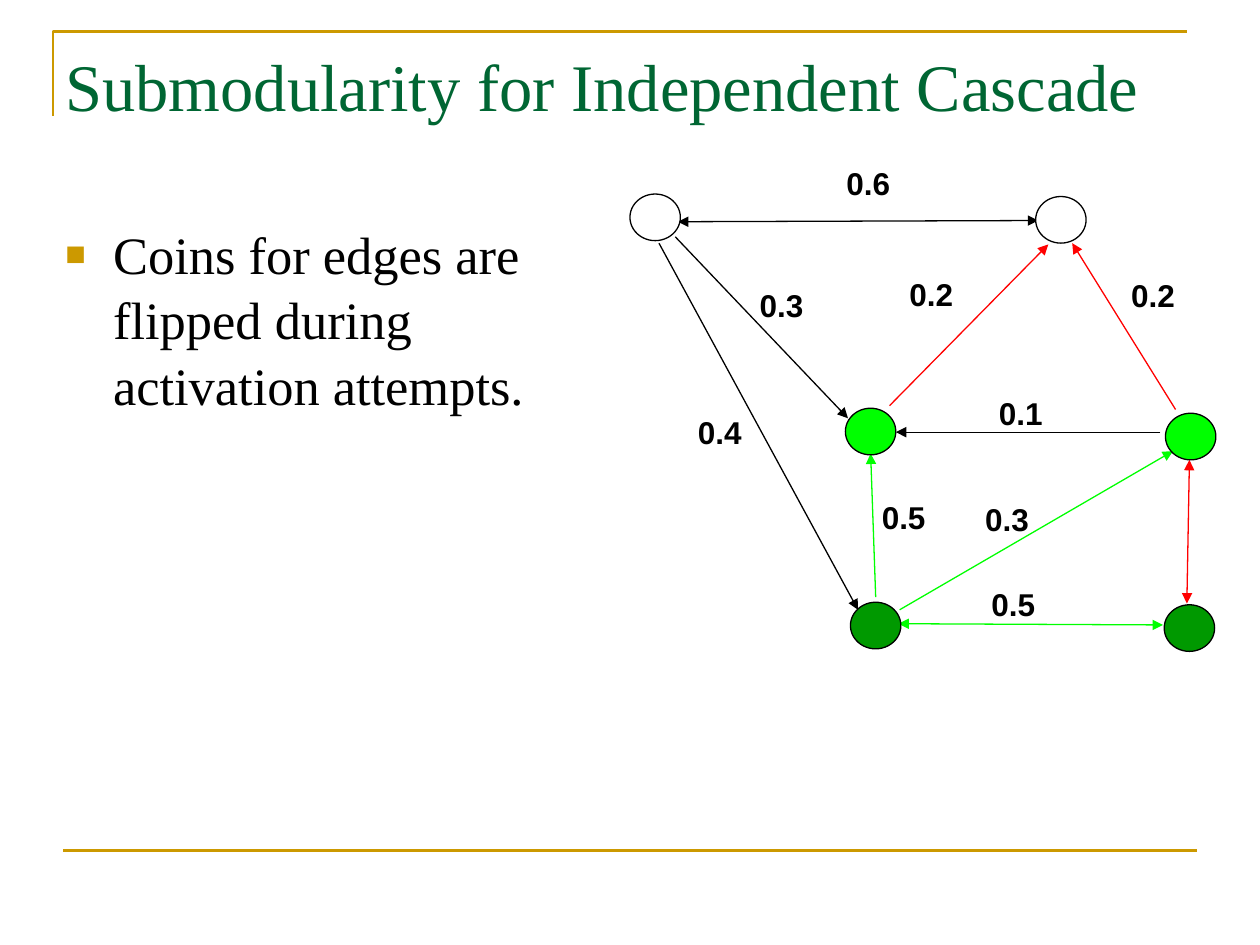
from lxml import etree
from pptx import Presentation
from pptx.dml.color import RGBColor
from pptx.enum.shapes import MSO_CONNECTOR, MSO_SHAPE
from pptx.oxml.ns import qn
from pptx.util import Pt

PX = 9144
LINE = MSO_CONNECTOR.STRAIGHT
OVAL = MSO_SHAPE.OVAL
GOLD = RGBColor(0xCC, 0x99, 0x00)
PINE = RGBColor(0x00, 0x66, 0x33)
BLACK = RGBColor(0x00, 0x00, 0x00)
WHITE = RGBColor(0xFF, 0xFF, 0xFF)
RED = RGBColor(0xFF, 0x00, 0x00)
LIME = RGBColor(0x00, 0xFF, 0x00)
GREEN = RGBColor(0x00, 0x99, 0x00)

TITLE_FONT = {"name": "Times New Roman", "size": Pt(38)}
BODY_FONT = {"name": "Times New Roman", "size": Pt(30)}
LABEL_FONT = {"name": "Arial", "size": Pt(18), "bold": True}

NODES = [
    (175, 353, GREEN), (424, 355, GREEN), (0, 29, WHITE),
    (322, 31, WHITE), (171, 199, LIME), (425, 203, LIME),
]
EDGES = [
    (213, 370, 423, 371, LIME, True),
    (214, 359, 431, 233, LIME, False),
    (195, 349, 191, 235, LIME, False),
    (421, 218, 211, 218, BLACK, False),
    (23, 68, 181, 359, BLACK, False),
    (36, 63, 173, 207, BLACK, False),
    (206, 197, 332, 69, RED, False),
    (38, 51, 324, 50, BLACK, True),
    (433, 200, 351, 68, RED, False),
    (444, 240, 442, 354, RED, True),
]
LABELS = [
    (277, 334, "0.5"), (272, 267, "0.3"), (190, 265, "0.5"),
    (283, 183, "0.1"), (44, 198, "0.4"), (93, 97, "0.3"),
    (212, 88, "0.2"), (162, 0, "0.6"), (388, 89, "0.2"),
]


def px(*values):
    """Turn px lengths into EMU."""
    return [v * PX for v in values]


def add_text(shapes, box, text, font, color, top=5):
    """Add a one-paragraph text box and return its paragraph."""
    tf = shapes.add_textbox(*px(*box)).text_frame
    tf.word_wrap = True
    tf.margin_top = top * PX
    p = tf.paragraphs[0]
    r = p.add_run()
    r.text = text
    for name, value in font.items():
        setattr(r.font, name, value)
    r.font.color.rgb = color
    return p


def add_line(shapes, ends, color, width, arrows=()):
    """Add a straight line with triangles at the named ends."""
    c = shapes.add_connector(LINE, *px(*ends))
    c.line.color.rgb = color
    c.line.width = Pt(width)
    ln = c.line._get_or_add_ln()
    for end in arrows:
        etree.SubElement(ln, qn(f"a:{end}"), type="triangle")
    etree.SubElement(c._element.spPr, qn("a:effectLst"))


def add_title(s, x, y, w, h):
    """Draw the corner rule and the title inside it."""
    fb = s.shapes.build_freeform(x, y + 67, scale=PX)
    fb.add_line_segments([(x, y), (x + 900, y)], close=False)
    sp = fb.convert_to_shape()
    sp.shadow.inherit = False
    sp.fill.background()
    sp.line.color.rgb = GOLD
    sp.line.width = Pt(1.5)
    add_text(s.shapes, (x, y, w, h), "Submodularity for Independent Cascade",
             TITLE_FONT, PINE, top=11)


def add_body(s, x, y, w, h):
    """Draw the bulleted statement."""
    p = add_text(s.shapes, (x, y, w, h),
                 "Coins for edges are flipped during activation attempts.",
                 BODY_FONT, BLACK, top=7)
    p.line_spacing = 1.04
    pPr = p._p.get_or_add_pPr()
    pPr.set("marL", str(38 * PX))
    pPr.set("indent", str(-38 * PX))
    clr = etree.SubElement(pPr, qn("a:buClr"))
    etree.SubElement(clr, qn("a:srgbClr"), val=str(GOLD))
    etree.SubElement(pPr, qn("a:buSzPct"), val="65000")
    etree.SubElement(pPr, qn("a:buFont"), typeface="Arial")
    etree.SubElement(pPr, qn("a:buChar"), char="■")


def add_graph(s, x, y):
    """Draw the cascade network as one group."""
    shapes = s.shapes.add_group_shape().shapes
    for x1, y1, x2, y2, color, both in EDGES:
        arrows = ("headEnd", "tailEnd") if both else ("tailEnd",)
        add_line(shapes, (x + x1, y + y1, x + x2, y + y2), color, 0.75, arrows)
    for dx, dy, text in LABELS:
        add_text(shapes, (x + dx, y + dy, 67, 40), text, LABEL_FONT, BLACK)
    for dx, dy, color in NODES:
        sp = shapes.add_shape(OVAL, *px(x + dx, y + dy, 40, 37))
        sp.shadow.inherit = False
        sp.fill.solid()
        sp.fill.fore_color.rgb = color
        sp.line.color.rgb = BLACK
        sp.line.width = Pt(0.75)


def main():
    """Build the slide and save it."""
    prs = Presentation()
    prs.slide_width, prs.slide_height = px(1000, 750)
    s = prs.slides.add_slide(prs.slide_layouts[6])
    add_title(s, 42, 25, 958, 70)
    add_line(s.shapes, (50, 675, 950, 675), GOLD, 1.5)
    add_body(s, 42, 167, 433, 162)
    add_graph(s, 500, 125)
    prs.save("out.pptx")


if __name__ == "__main__":
    main()
